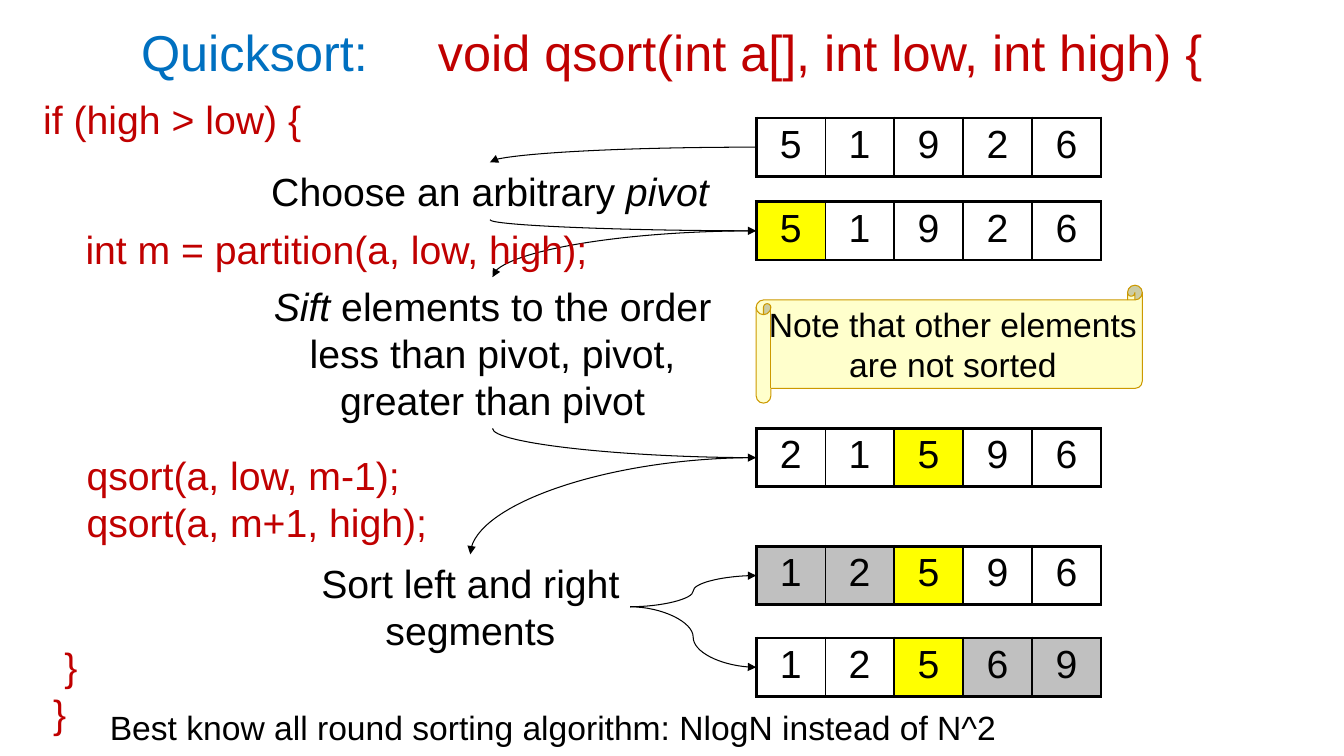
"""Build the Quicksort walkthrough slide."""
import pptx
import pptx.util
import pptx.dml.color
import pptx.enum.shapes
import pptx.enum.text
import pptx.oxml
import pptx.oxml.ns

Inches, Pt = pptx.util.Inches, pptx.util.Pt
qn = pptx.oxml.ns.qn
ALIGN = pptx.enum.text.PP_ALIGN
ANCHOR = pptx.enum.text.MSO_ANCHOR

COLORS = {"title": "0070C0", "code": "C00000", "text": "000000", "pivot": "FFFF00",
          "sorted": "C0C0C0", "note": "FFFFCC", "note_line": "CC9900"}
FONT = "Arial"
NO_STYLE = "{2D5ABB26-0587-4C30-8999-92F81FD0307C}"

TITLE = [("Quicksort:", "title"), (" ", "code"),
         ("void qsort(int a[], int low, int high) {", "code")]
TITLE_GAP = 40

ARRAY_LEFT, CELL_W, CELL_H = 7.5, 0.684, 0.58
ARRAYS = [
    (1.17, "51926", {}),
    (2.0, "51926", {0: "pivot"}),
    (4.25, "21596", {2: "pivot"}),
    (5.42, "12596", {0: "sorted", 1: "sorted", 2: "pivot"}),
    (6.33, "12569", {2: "pivot", 3: "sorted", 4: "sorted"}),
]

STEPS = [
    ((2.58, 1.61, 4.56, 0.57), [[("Choose an arbitrary ", False), ("pivot", True)]]),
    ((2.61, 2.75, 4.55, 1.5), [[("Sift", True), (" elements to the order", False)],
                               [("less than pivot, pivot,", False)],
                               [("greater than pivot", False)]]),
    ((3.08, 5.5, 3.17, 1.03), [[("Sort left and right", False)], [("segments", False)]]),
]
CODE = [
    ((0.75, 2.19, 5.24, 0.57), ["int m = partition(a, low, high);"], 0),
    ((0.76, 4.43, 3.62, 1.04), ["qsort(a, low, m-1);", "qsort(a, m+1, high);"], 0),
    ((0.33, 0.9, 2.79, 0.57), ["if (high > low) {"], 0),
    ((0.43, 6.32, 0.44, 1.04), ["}", "}"], 0.11),
]
NOTE = ((7.5, 2.83, 3.83, 1.17), ["Note that other elements", "are not sorted"])
FOOTER = ((0.99, 6.96, 9.08, 0.5), "Best know all round sorting algorithm: NlogN instead of N^2")

ROW_MID = [top + CELL_H / 2 for top, _, _ in ARRAYS]
STEP_MID = [x + w / 2 for (x, _, w, _), _ in STEPS]
STEP_TOP = [y for (_, y, _, _), _ in STEPS]
STEP_END = [y + h for (_, y, _, h), _ in STEPS]
FORK = (6.25, 6.02)
CURVES = (
    [("to_step", (ARRAY_LEFT, ROW_MID[i]), (STEP_MID[i], STEP_TOP[i])) for i in range(3)]
    + [("to_array", (STEP_MID[i], STEP_END[i]), (ARRAY_LEFT, ROW_MID[i + 1])) for i in range(2)]
    + [("fork", FORK, (ARRAY_LEFT, ROW_MID[i])) for i in (3, 4)]
)


def rgb(name):
    return pptx.dml.color.RGBColor.from_string(COLORS[name])


def add_run(p, text, size, color, italic=False):
    r = p.add_run()
    r.text = text
    r.font.name, r.font.size, r.font.italic = FONT, Pt(size), italic
    r.font.color.rgb = rgb(color)
    return r


def add_box(slide, at):
    tf = slide.shapes.add_textbox(*map(Inches, at)).text_frame
    tf.word_wrap = False
    return tf


def add_array(slide, top, digits, fills):
    frame = slide.shapes.add_table(1, len(digits), Inches(ARRAY_LEFT), Inches(top),
                                   Inches(CELL_W * len(digits)), Inches(CELL_H))
    table = frame.table
    table.first_row = table.horz_banding = False
    frame._element.find(".//" + qn("a:tableStyleId")).text = NO_STYLE
    last = len(digits) - 1
    for i, digit in enumerate(digits):
        cell = table.cell(0, i)
        p = cell.text_frame.paragraphs[0]
        p.alignment = ALIGN.CENTER
        add_run(p, digit, 28, "text")
        borders = {"lnL": 1 if i else 2.25, "lnR": 1 if i < last else 2.25,
                   "lnT": 2.25, "lnB": 2.25}
        tc_pr = cell._tc.get_or_add_tcPr()
        for tag, width in borders.items():
            ln = pptx.oxml.parse_xml(
                f'<a:{tag} {pptx.oxml.ns.nsdecls("a")} w="{Pt(width)}"><a:solidFill>'
                f'<a:srgbClr val="{COLORS["text"]}"/></a:solidFill></a:{tag}>')
            tc_pr.append(ln)
        if i in fills:
            cell.fill.solid()
            cell.fill.fore_color.rgb = rgb(fills[i])
        else:
            cell.fill.background()


def add_curve(slide, kind, start, end):
    (x1, y1), (x2, y2) = start, end
    if kind == "to_array":
        cx, cy, dx, dy = (x1 + x2) / 2, (y1 + y2) / 2, x2 - x1, y2 - y1
        x1, y1, x2, y2 = cx + dy / 2, cy - dx / 2, cx - dy / 2, cy + dx / 2
    c = slide.shapes.add_connector(pptx.enum.shapes.MSO_CONNECTOR.CURVE,
                                   *map(Inches, (x1, y1, x2, y2)))
    c.line.color.rgb = rgb("text")
    c.line.width = Pt(0.75)
    sp_pr = c._element.spPr
    if kind != "fork":
        sp_pr.find(qn("a:prstGeom")).set("prst", "curvedConnector2")
    if kind == "to_array":
        sp_pr.find(qn("a:xfrm")).set("rot", str(270 * 60000))
    pptx.oxml.xmlchemy.OxmlElement
    tail = pptx.oxml.parse_xml(f'<a:tailEnd {pptx.oxml.ns.nsdecls("a")} type="triangle"/>')
    sp_pr.find(qn("a:ln")).append(tail)
    sp_pr.append(pptx.oxml.parse_xml(f'<a:effectLst {pptx.oxml.ns.nsdecls("a")}/>'))


def add_lines(p, lines, size):
    p.alignment = ALIGN.CENTER
    for i, runs in enumerate(lines):
        if i:
            p.add_line_break()
        for text, italic in runs:
            add_run(p, text, size, "text", italic)


def main():
    prs = pptx.Presentation()
    prs.slide_width, prs.slide_height = Inches(13.33), Inches(7.5)
    slide = prs.slides.add_slide(prs.slide_layouts[5])

    title = slide.shapes.title
    title.left, title.top, title.width, title.height = map(Inches, (0.33, 0.17, 12.67, 0.67))
    tf = title.text_frame
    tf.auto_size = pptx.enum.text.MSO_AUTO_SIZE.NONE
    tf.vertical_anchor = ANCHOR.MIDDLE
    p = tf.paragraphs[0]
    p.alignment = ALIGN.CENTER
    for text, color in TITLE:
        r = add_run(p, text, 36, color)
        if text == " ":
            r.font._element.set("spc", str(TITLE_GAP * 100))

    for top, digits, fills in ARRAYS:
        add_array(slide, top, digits, fills)
    for at, lines in STEPS:
        add_lines(add_box(slide, at).paragraphs[0], lines, 28)

    at, lines = NOTE
    sp = slide.shapes.add_shape(pptx.enum.shapes.MSO_SHAPE.HORIZONTAL_SCROLL, *map(Inches, at))
    sp.shadow.inherit = False
    sp.fill.solid()
    sp.fill.fore_color.rgb = rgb("note")
    sp.line.color.rgb = rgb("note_line")
    sp.line.width = Pt(0.75)
    sp.text_frame.word_wrap = False
    sp.text_frame.vertical_anchor = ANCHOR.MIDDLE
    add_lines(sp.text_frame.paragraphs[0], [[(line, False)] for line in lines], 24)

    for curve in CURVES:
        add_curve(slide, *curve)

    for at, lines, first_indent in CODE:
        tf = add_box(slide, at)
        for i, line in enumerate(lines):
            p = tf.add_paragraph() if i else tf.paragraphs[0]
            add_run(p, line, 28, "code")
        if first_indent:
            tf.paragraphs[0]._p.get_or_add_pPr().set("marL", str(Inches(first_indent)))

    at, text = FOOTER
    add_run(add_box(slide, at).paragraphs[0], text, 24, "text")
    prs.save("out.pptx")


if __name__ == "__main__":
    main()
